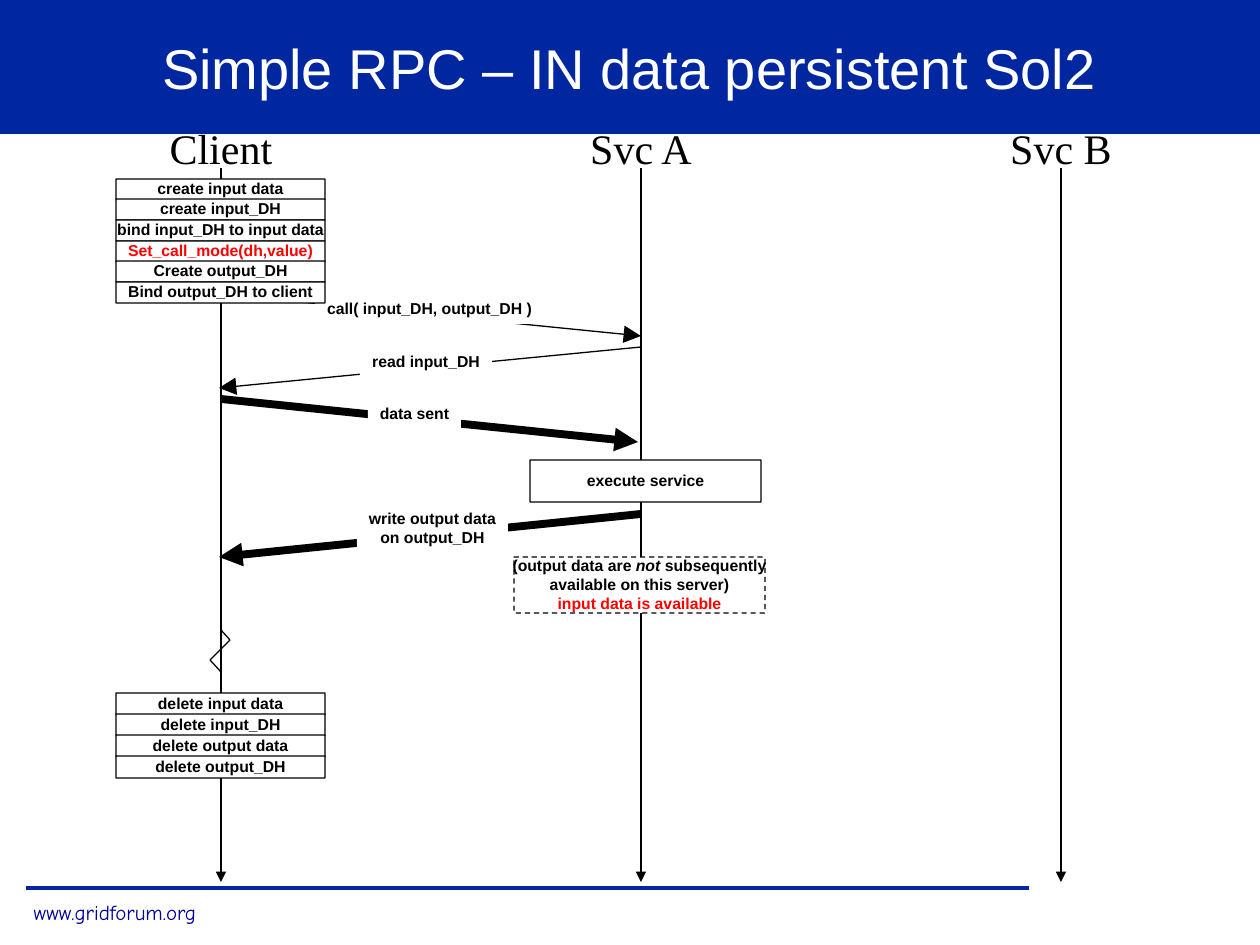
"""Build a sequence diagram slide of a simple RPC with persistent input data."""
from dataclasses import dataclass
from itertools import pairwise

from lxml import etree
from pptx import Presentation
from pptx import util as u
from pptx.dml.color import RGBColor
from pptx.enum import dml, shapes, text
from pptx.oxml.ns import qn
from pptx.slide import Slide

BLACK = RGBColor(0x00, 0x00, 0x00)
WHITE = RGBColor(0xFF, 0xFF, 0xFF)
RED = RGBColor(0xFF, 0x00, 0x00)
BLUE = RGBColor(0x00, 0x27, 0x9F)
NAVY = RGBColor(0x00, 0x00, 0x99)

CLIENT, SVC_A, SVC_B = 221, 641, 1061
STEP_LEFT, STEP_WIDTH = 116, 209


def px(length):
    return u.Emu(round(length * 914400 / 126))


@dataclass
class Diagram:
    slide: Slide
    font: str = "Arial"
    size: float = 9
    thin: float = 0.75

    def fill_text(self, frame, paragraphs, size, font, color, bold=False, spacing=None):
        frame.word_wrap = False
        frame.vertical_anchor = text.MSO_ANCHOR.MIDDLE
        for index, content in enumerate(paragraphs):
            para = frame.paragraphs[0] if index == 0 else frame.add_paragraph()
            para.alignment = text.PP_ALIGN.CENTER
            if index == 0 and spacing:
                para.line_spacing = spacing
            spans, tone = content if isinstance(content, tuple) else (content, color)
            para.font.size, para.font.name = u.Pt(size), font
            para.font.bold, para.font.color.rgb = bold, tone
            for position, part in enumerate(spans.split("*")):
                span = para.add_run()
                span.text = part
                if position % 2:
                    span.font.italic = True

    def caption(self, left, top, width, height, words, size, font, color, spacing=None):
        box = self.slide.shapes.add_textbox(px(left), px(top), px(width), px(height))
        self.fill_text(box.text_frame, [words], size, font, color, spacing=spacing)

    def band(self, left, top, width, height, color):
        bar = self.slide.shapes.add_shape(
            shapes.MSO_SHAPE.RECTANGLE, px(left), px(top), px(width), px(height))
        bar.shadow.inherit = False
        bar.fill.solid()
        bar.fill.fore_color.rgb = color
        bar.line.fill.background()

    def box(self, left, top, width, height, *paragraphs, outlined=True, dashed=False):
        box = self.slide.shapes.add_shape(
            shapes.MSO_SHAPE.ROUNDED_RECTANGLE, px(left), px(top), px(width), px(height))
        box.adjustments[0] = 0.01
        box.shadow.inherit = False
        box.fill.solid()
        box.fill.fore_color.rgb = WHITE
        if outlined:
            box.line.color.rgb, box.line.width = BLACK, u.Pt(self.thin)
        else:
            box.line.fill.background()
        if dashed:
            box.line.dash_style = dml.MSO_LINE.DASH
        self.fill_text(box.text_frame, paragraphs, self.size, self.font, BLACK, True, 0.96)

    def line(self, start, end, width=thin, color=BLACK, head=None):
        line = self.slide.shapes.add_connector(
            shapes.MSO_CONNECTOR.STRAIGHT, *map(px, (*start, *end)))
        line.line.color.rgb, line.line.width = color, u.Pt(width)
        properties = line._element.spPr
        if head:
            etree.SubElement(properties.find(qn("a:ln")), qn("a:tailEnd"),
                             type="triangle", w=head, len=head)
        etree.SubElement(properties, qn("a:effectLst"))

    def message(self, start, end, width, head, place, *words):
        self.line(start, end, width, head=head)
        self.box(*place, *words, outlined=False)

    def steps(self, top, height, labels):
        for index, label in enumerate(labels):
            offset = index * height // len(labels)
            self.box(STEP_LEFT, top + offset, STEP_WIDTH, height // len(labels) + 1, label)


def main():
    deck = Presentation()
    deck.slide_width, deck.slide_height = px(1260), px(945)
    page = Diagram(deck.slides.add_slide(deck.slide_layouts[6]))

    page.band(0, 0, 1260, 134, BLUE)
    page.line((26, 888), (1029, 888), 2, BLUE)
    page.caption(21, 893, 188, 38, "www.gridforum.org", 12, "Comic Neue", NAVY)
    page.caption(94, 32, 1071, 77, "Simple RPC – IN data persistent Sol2",
                 32, page.font, WHITE, 0.96)

    for name, x in (("Client", CLIENT), ("Svc A", SVC_A), ("Svc B", SVC_B)):
        page.line((x, 168), (x, 882), head="med")
        page.caption(x - 64, 116, 128, 63, name, 24, "Times New Roman", BLACK)

    page.message((CLIENT, 294), (SVC_A, 336), page.thin, "lg",
                 (315, 294, 229, 30), "call( input_DH, output_DH )")
    page.message((SVC_A, 347), (CLIENT - 2, 388), page.thin, "lg",
                 (360, 347, 132, 30), "read input_DH")
    page.message((CLIENT, 399), (SVC_A - 3, 442), 4.5, "med",
                 (368, 399, 93, 31), "data sent")
    page.message((SVC_A, 514), (CLIENT - 2, 557), 4.5, "med",
                 (357, 504, 151, 49), "write output data", "on output_DH")

    page.box(530, 460, 231, 42, "execute service")
    page.box(514, 557, 251, 56, "(output data are *not* subsequently",
             "available on this server)", ("input data is available", RED), dashed=True)

    for start, end in pairwise([(CLIENT, 630), (230, 640), (210, 660), (CLIENT, 672)]):
        page.line(start, end)

    page.steps(179, 124, [
        "create input data", "create input_DH", "bind input_DH to input data",
        ("Set_call_mode(dh,value)", RED), "Create output_DH", "Bind output_DH to client"])
    page.steps(693, 84, [
        "delete input data", "delete input_DH", "delete output data", "delete output_DH"])

    deck.save("out.pptx")


if __name__ == "__main__":
    main()
